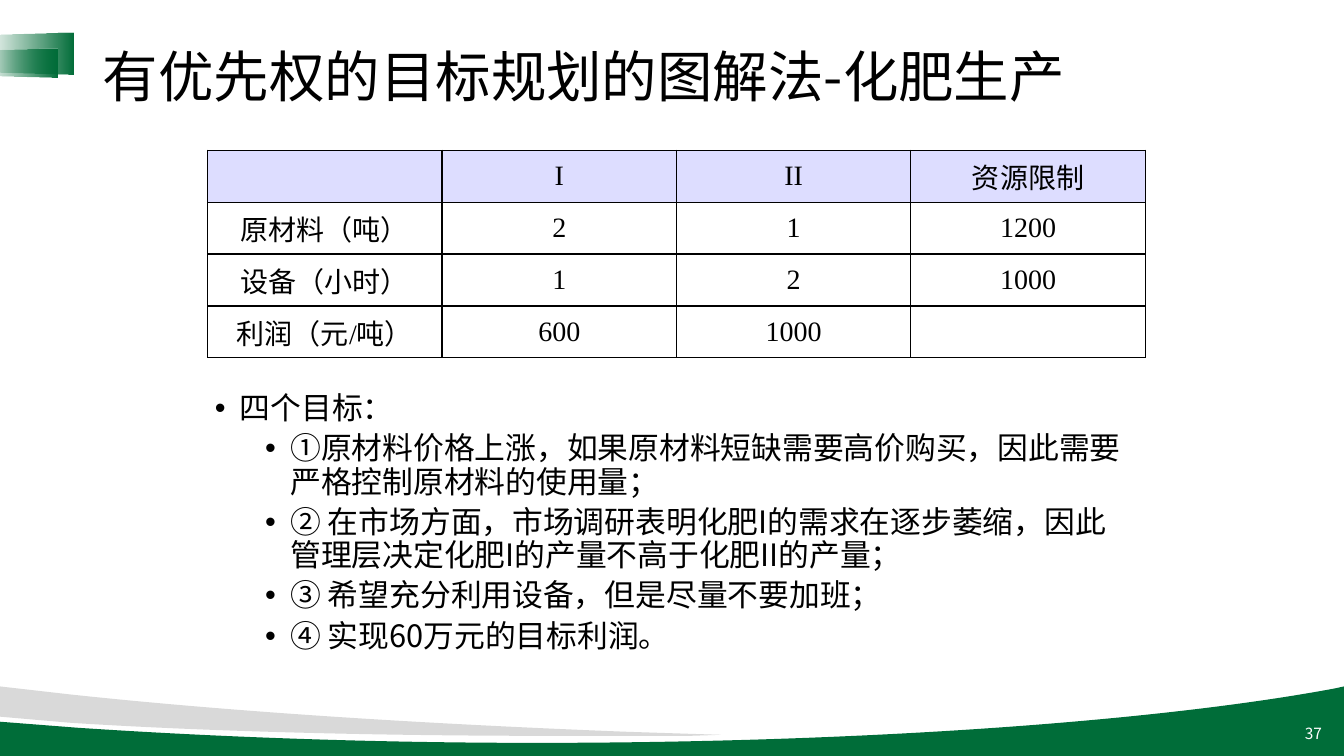
from lxml import etree
from pptx import Presentation, util as u
from pptx.dml.color import RGBColor
from pptx.enum import shapes, text
from pptx.oxml.ns import qn

HUES = {"green": "006D39", "grey": "D9D9D9", "head": "DDDDFF",
        "ink": "000000", "white": "FFFFFF"}
SANS, SERIF = "Noto Sans CJK SC", "Times New Roman"
ROWS = [["", "I", "II", "资源限制"],
        ["原材料（吨）", "2", "1", "1200"],
        ["设备（小时）", "1", "2", "1000"],
        ["利润（元/吨）", "600", "1000", ""]]
GOALS = ["四个目标：",
         "①原材料价格上涨，如果原材料短缺需要高价购买，因此需要严格控制原材料的使用量；",
         "② 在市场方面，市场调研表明化肥I的需求在逐步萎缩，因此管理层决定化肥I的产量不高于化肥II的产量；",
         "③ 希望充分利用设备，但是尽量不要加班；",
         "④ 实现60万元的目标利润。"]
# Two numbers are a line point; six are one Bezier curve.
WAVES = {
    "green": [(13.33, 6.81), (13.33, 7.5), (0, 7.5), (0, 7.16), (0.77, 7.22),
              (2.12, 7.31, 3.67, 7.37, 5.32, 7.37),
              (8.62, 7.37, 11.53, 7.15, 13.24, 6.83)],
    "grey": [(0, 6.81), (0.7, 6.89), (2.29, 7.06, 4.17, 7.18, 6.22, 7.26),
             (7.15, 7.29), (6.84, 7.3), (6.4, 7.3, 5.94, 7.3, 5.48, 7.3),
             (3.61, 7.3, 1.92, 7.25, 0.69, 7.17), (0, 7.11)],
}


def hue(name):
    return RGBColor.from_string(HUES[name])


def put(item, **vals):
    for key, val in vals.items():
        setattr(item, key, val)


def place(item, box):
    put(item, **dict(zip(("left", "top", "width", "height"), map(u.Inches, box))))


def sub(node, tag, **vals):
    return etree.SubElement(node, qn(tag), vals)


def style(para, size, face=SANS, ink="ink", **vals):
    """Format a paragraph and its runs, East Asian face included."""
    put(para, **vals)
    for run in para.runs:
        put(run.font, size=u.Pt(size), name=face)
        run.font.color.rgb = hue(ink)
        sub(run.font._element, "a:ea", typeface=SANS)


def frame(item, **vals):
    put(item.text_frame, word_wrap=True, auto_size=text.MSO_AUTO_SIZE.NONE, **vals)
    return item.text_frame


def bend(wave, steps):
    """Merge each curve's three line segments into one Bezier segment."""
    lines = wave._element.iter(qn("a:lnTo"))
    lines = iter(list(lines))
    for step in steps[1:]:
        trio = [next(lines) for _ in range(len(step) // 2)]
        if len(trio) == 3:
            curve = etree.Element(qn("a:cubicBezTo"))
            trio[0].addprevious(curve)
            for line in trio:
                curve.append(line[0])
                line.getparent().remove(line)


def add_waves(slide):
    for name, steps in WAVES.items():
        first, *rest = [(round(s[i] * 100), round(s[i + 1] * 100))
                        for s in steps for i in range(0, len(s), 2)]
        pen = slide.shapes.build_freeform(*first, scale=u.Inches(0.01))
        wave = pen.add_line_segments(rest).convert_to_shape()
        bend(wave, steps)
        wave.shadow.inherit = False
        wave.fill.solid()
        wave.fill.fore_color.rgb = hue(name)
        wave.line.fill.background()


def add_tab(slide, box):
    """Add a sideways trapezoid that fades out to the left."""
    tab = slide.shapes.add_shape(shapes.MSO_SHAPE.TRAPEZOID, *map(u.Inches, box))
    tab.rotation = 270
    tab.adjustments[0] = 0.07
    tab.shadow.inherit = False
    tab.line.fill.background()
    tab.fill.gradient()
    tab.fill.gradient_angle = 0
    for stop, alpha in zip(tab.fill.gradient_stops, ("0", "100000")):
        stop.color.rgb = hue("green")
        shade = stop._gs.find(qn("a:srgbClr"))
        sub(shade, "a:alpha", val=alpha)
    tab._element.spPr.find(qn("a:gradFill")).set("rotWithShape", "0")


def add_title(slide, box):
    title = slide.shapes.title
    place(title, box)
    body = frame(title, vertical_anchor=text.MSO_ANCHOR.TOP,
                 margin_top=u.Inches(0.09))
    body.text = "有优先权的目标规划的图解法-化肥生产"
    style(body.paragraphs[0], 39.6, alignment=text.PP_ALIGN.LEFT, line_spacing=0.9)


def add_goals(slide, box):
    holder = slide.placeholders[1]
    place(holder, box)
    body = frame(holder, vertical_anchor=text.MSO_ANCHOR.TOP)
    body.text = "\n".join(GOALS)
    for i, para in enumerate(body.paragraphs):
        level = min(i, 1)
        props = para._p.get_or_add_pPr()
        props.set("marL", str(u.Inches(0.25 + 0.5 * level)))
        props.set("indent", str(u.Inches(-0.25)))
        sub(props, "a:buFont", typeface="Arial")
        sub(props, "a:buChar", char="•")
        style(para, 22, level=level, line_spacing=0.9,
              space_before=u.Pt(5 * level))


def edge(cell):
    props = cell._tc.get_or_add_tcPr()
    for i, side in enumerate("LRTB"):
        line = etree.Element(qn("a:ln" + side), w=str(u.Pt(1)))
        sub(sub(line, "a:solidFill"), "a:srgbClr", val=HUES["ink"])
        props.insert(i, line)


def add_grid(slide, box):
    grid = slide.shapes.add_table(len(ROWS), len(ROWS[0]),
                                  *map(u.Inches, box)).table
    put(grid, first_row=False, horz_banding=False)
    for r, row in enumerate(ROWS):
        for c, word in enumerate(row):
            cell = grid.cell(r, c)
            put(cell, text=word, vertical_anchor=text.MSO_ANCHOR.MIDDLE,
                margin_left=u.Inches(0.07), margin_right=u.Inches(0.07),
                margin_top=0, margin_bottom=0)
            style(cell.text_frame.paragraphs[0], 20, SERIF,
                  alignment=text.PP_ALIGN.CENTER)
            if r:
                cell.fill.background()
            else:
                cell.fill.solid()
                cell.fill.fore_color.rgb = hue("head")
            edge(cell)


def add_page(slide, box):
    page = slide.shapes.add_textbox(*map(u.Inches, box))
    body = frame(page, vertical_anchor=text.MSO_ANCHOR.MIDDLE)
    body.text = "37"
    style(body.paragraphs[0], 11, ink="white", alignment=text.PP_ALIGN.RIGHT)


def main():
    deck = Presentation()
    put(deck, slide_width=u.Inches(13.33), slide_height=u.Inches(7.5))
    slide = deck.slides.add_slide(deck.slide_layouts[1])
    add_waves(slide)
    add_tab(slide, (0.08, 0.09, 0.41, 0.88))
    add_tab(slide, (0.06, 0.26, 0.29, 0.73))
    add_page(slide, (10.21, 7.08, 3, 0.4))
    add_title(slide, (0.92, 0.4, 11.5, 1.45))
    add_goals(slide, (2.03, 3.85, 9.3, 3.05))
    add_grid(slide, (2.06, 1.49, 9.3, 2.06))
    deck.save("out.pptx")


if __name__ == "__main__":
    main()
